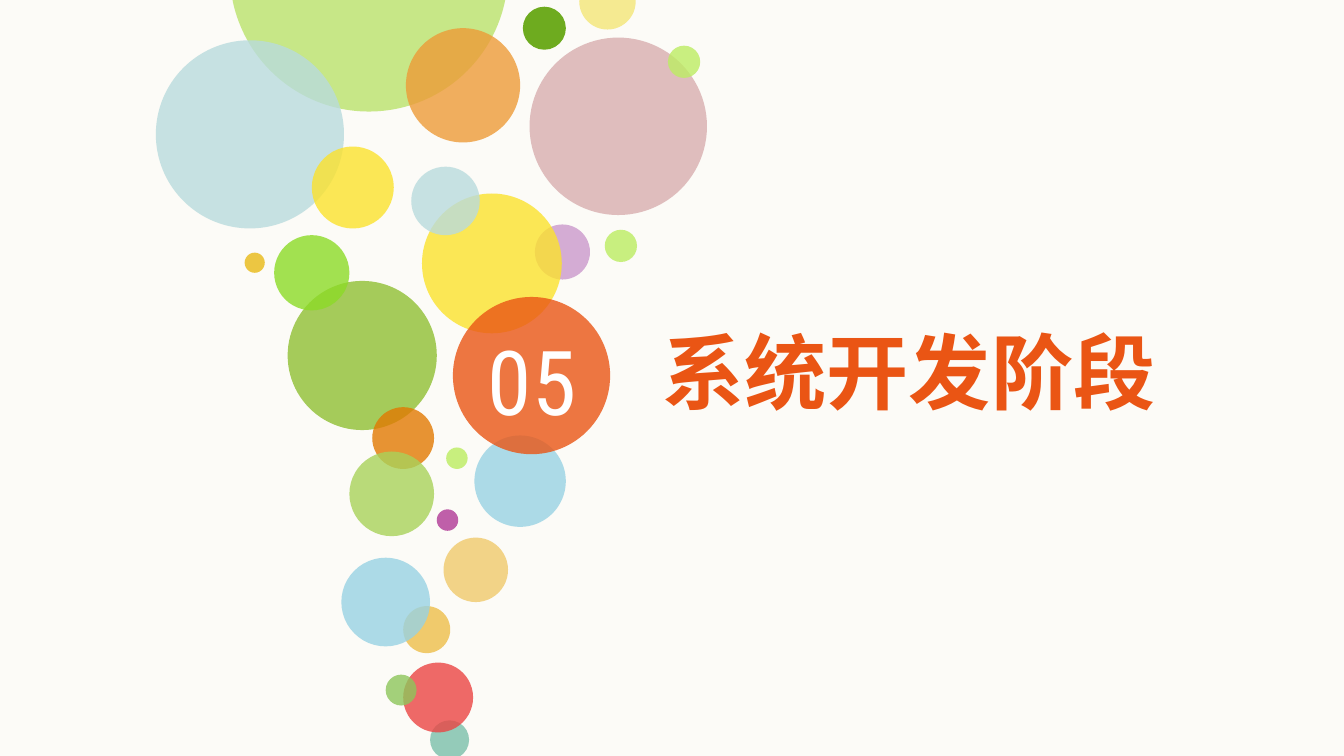
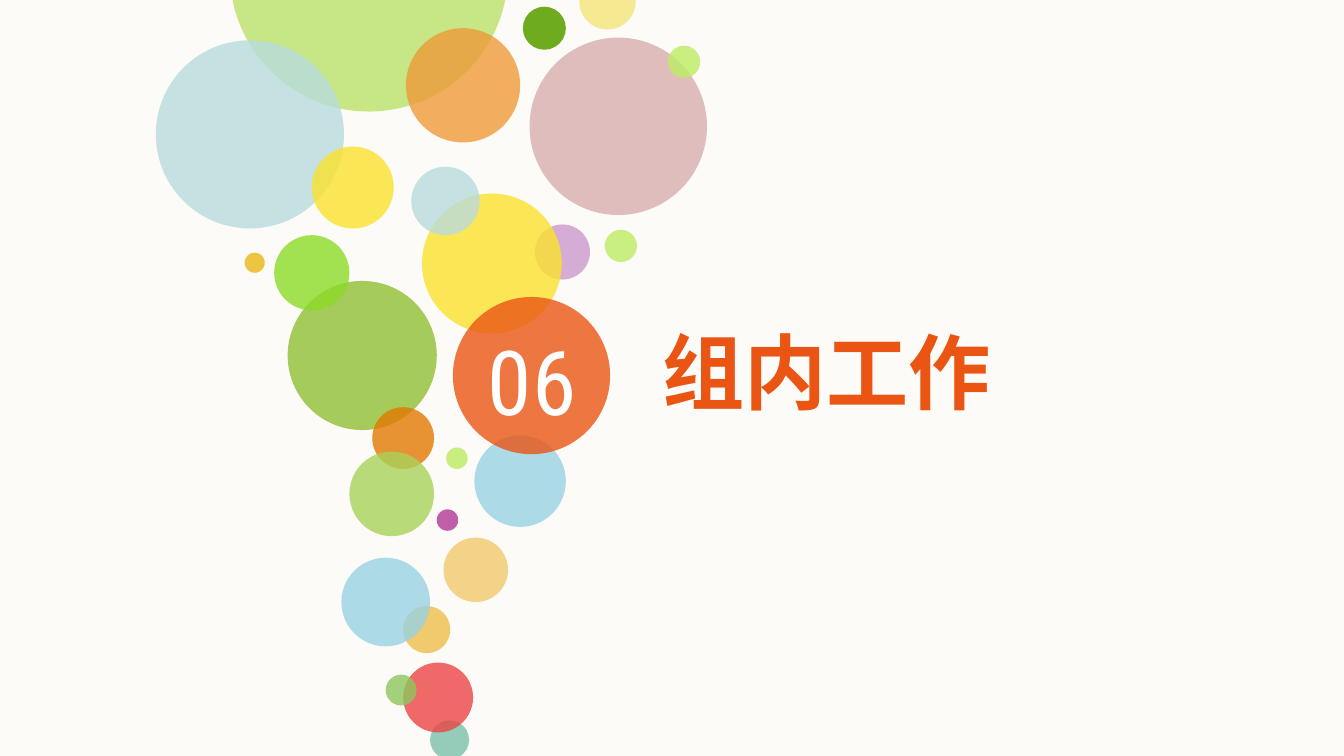
import pptx
import pptx.util
import pptx.dml.color
import pptx.enum.shapes
import pptx.enum.text
import pptx.oxml
import pptx.oxml.ns
from dataclasses import dataclass

Inches = pptx.util.Inches
Anchor = pptx.enum.text.MSO_ANCHOR
Align = pptx.enum.text.PP_ALIGN


@dataclass(frozen=True)
class Theme:
    paper: str = "FCFBF7"
    accent: str = "EA5514"
    white: str = "FFFFFF"
    title_font: str = "Noto Sans CJK SC"
    number_font: str = "Roboto Condensed"
    title_size: int = 44
    number_size: int = 48
    bubble_opacity: int = 80


THEME = Theme()
SOLID = 100
PAGE_WIDTH = 10
PAGE_HEIGHT = PAGE_WIDTH * 9 / 16

# Bubbles from back to front: left, top, diameter, colour, and opacity if not the usual one
BUBBLES = [
    (1.71, -1.24, 2.07, "BAE36B"),
    (3.89, 0.05, 0.32, "6EAB1F", SOLID),
    (1.16, 0.3, 1.4, "B9DBDD"),
    (3.02, 0.21, 0.85, "ED9B38"),
    (4.31, -0.2, 0.42, "F5EA91", SOLID),
    (3.94, 0.28, 1.32, "D8AEAF"),
    (2.14, 2.09, 1.11, "A5CB5A", SOLID),
    (4.97, 0.34, 0.24, "BDED63"),
    (4.5, 1.71, 0.24, "BCED61"),
    (3.98, 1.67, 0.41, "CB99CC"),
    (3.14, 1.44, 1.04, "FBE22D"),
    (2.32, 1.09, 0.61, "FBE22D"),
    (2.04, 1.75, 0.56, "8CDB27"),
    (1.82, 1.88, 0.15, "E9B915"),
    (3.32, 3.33, 0.16, "BCED60"),
    (3.25, 3.79, 0.16, "B03896"),
    (3.3, 4, 0.48, "F0CA6C"),
    (3, 4.51, 0.35, "F0CA6C", SOLID),
    (3.2, 5.36, 0.29, "7BBFAA"),
    (3, 4.93, 0.52, "EB4544"),
    (2.87, 5.02, 0.23, "8DC65B"),
    (2.54, 4.15, 0.66, "98D2E3"),
    (3.06, 1.24, 0.51, "B9DBDD"),
    (3.53, 3.24, 0.68, "98D2E3"),
    (2.77, 3.03, 0.46, "E27902"),
    (2.6, 3.36, 0.63, "A9D25A"),
    (3.37, 2.21, 1.17, THEME.accent),
]

# Section number, title and title width
SECTIONS = [("05", "系统开发阶段", 3.77), ("06", "组内工作", 4.48)]


def rgb(colour):
    return pptx.dml.color.RGBColor.from_string(colour)


def write_text(shape, text, *, font, size, colour, bold=False, align=Align.LEFT):
    """Put one formatted paragraph into a shape without margins."""
    frame = shape.text_frame
    frame.margin_left = frame.margin_right = 0
    frame.margin_top = frame.margin_bottom = 0
    frame.word_wrap = True
    frame.auto_size = pptx.enum.text.MSO_AUTO_SIZE.NONE
    frame.vertical_anchor = Anchor.MIDDLE
    para = frame.paragraphs[0]
    para.alignment = align
    span = para.add_run()
    span.text = text
    span.font.name = font
    span.font.size = pptx.util.Pt(size)
    span.font.bold = bold
    span.font.color.rgb = rgb(colour)
    # East Asian typeface follows the Latin one
    east_asian = pptx.oxml.parse_xml(
        f'<a:ea {pptx.oxml.ns.nsdecls("a")} typeface="{font}"/>')
    span._r.rPr.find(pptx.oxml.ns.qn("a:latin")).addnext(east_asian)


def add_bubble(page, left, top, diameter, colour, opacity=THEME.bubble_opacity):
    bubble = page.shapes.add_shape(
        pptx.enum.shapes.MSO_SHAPE.OVAL,
        Inches(left), Inches(top), Inches(diameter), Inches(diameter))
    bubble.shadow.inherit = False
    bubble.line.fill.background()
    bubble.fill.solid()
    bubble.fill.fore_color.rgb = rgb(colour)
    if opacity < SOLID:
        tint = bubble._element.spPr.find(".//" + pptx.oxml.ns.qn("a:srgbClr"))
        tint.append(pptx.oxml.parse_xml(
            f'<a:alpha {pptx.oxml.ns.nsdecls("a")} val="{opacity * 1000}"/>'))


def add_bubble_column(page, left, top):
    for x, y, *style in BUBBLES:
        add_bubble(page, left + x, top + y, *style)


def add_number(page, number, left, top, width, height):
    box = page.shapes.add_textbox(
        Inches(left), Inches(top), Inches(width), Inches(height))
    write_text(box, number, font=THEME.number_font, size=THEME.number_size,
               colour=THEME.white, align=Align.CENTER)


def place_title(page, text, left, top, width, height):
    title = page.shapes.title
    title.left, title.top = Inches(left), Inches(top)
    title.width, title.height = Inches(width), Inches(height)
    write_text(title, text, font=THEME.title_font, size=THEME.title_size,
               colour=THEME.accent, bold=True)


def add_section_page(deck, number, text, title_width):
    page = deck.slides.add_slide(deck.slide_layouts.get_by_name("Title Only"))
    page.background.fill.solid()
    page.background.fill.fore_color.rgb = rgb(THEME.paper)
    add_bubble_column(page, 0, 0)
    add_number(page, number, 3.56, 2.42, 0.8, 0.81)
    place_title(page, text, 4.93, 2.39, title_width, 0.74)


def main():
    deck = pptx.Presentation()
    deck.slide_width = Inches(PAGE_WIDTH)
    deck.slide_height = Inches(PAGE_HEIGHT)
    for section in SECTIONS:
        add_section_page(deck, *section)
    deck.save("out.pptx")


if __name__ == "__main__":
    main()
